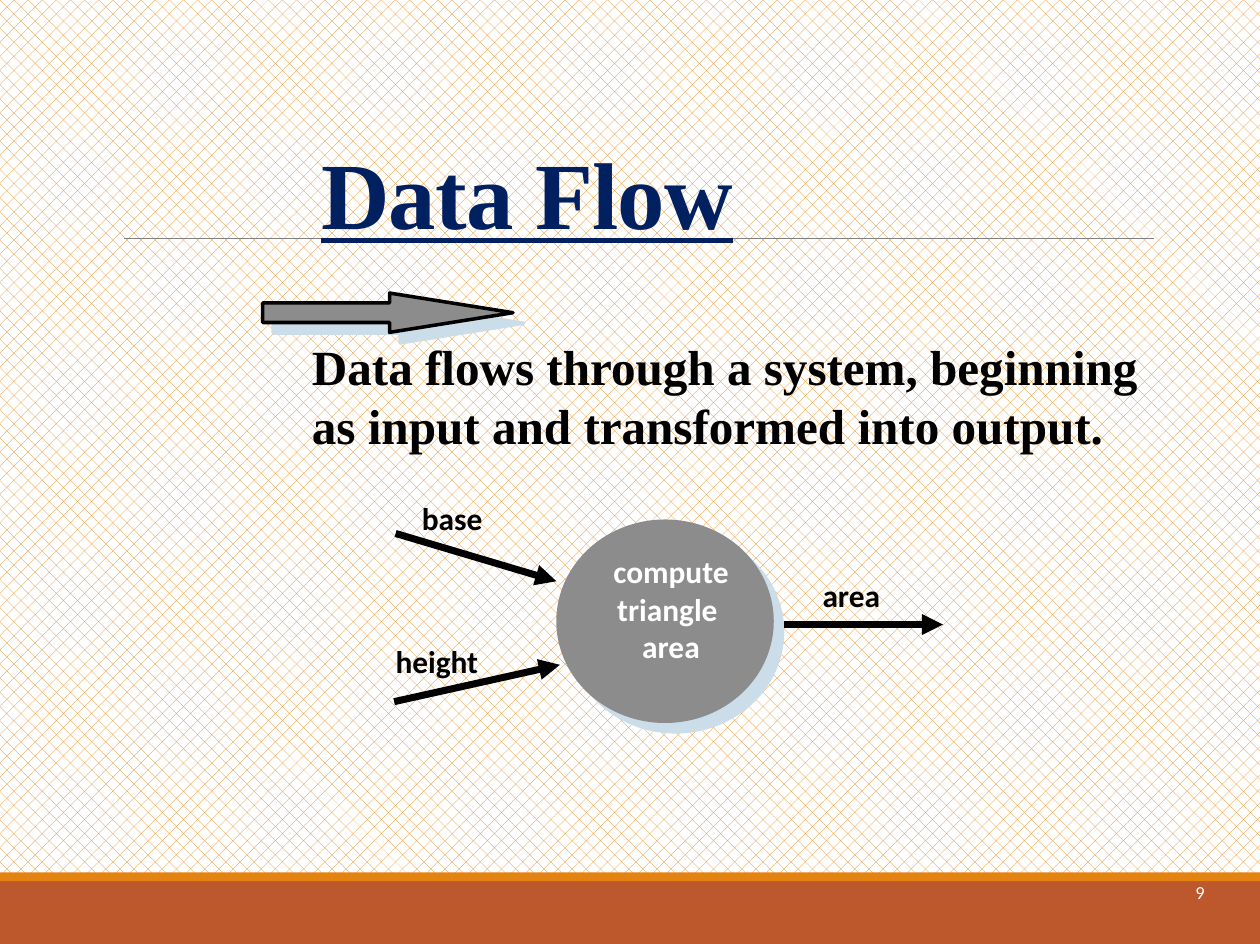
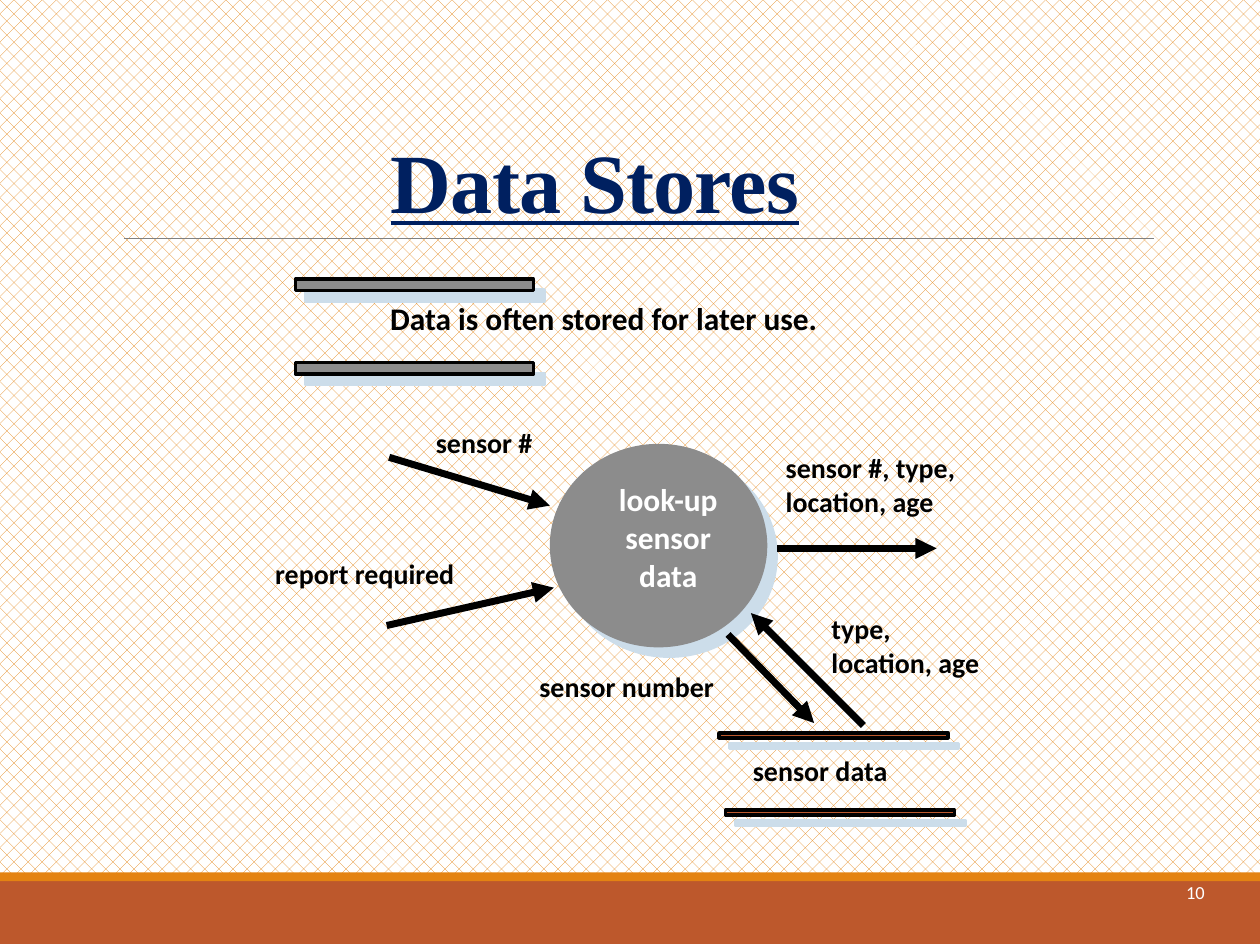
from lxml import etree
from pptx import Presentation
from pptx.dml.color import RGBColor
from pptx.enum.dml import MSO_PATTERN
from pptx.enum.shapes import MSO_CONNECTOR, MSO_SHAPE
from pptx.enum.text import MSO_ANCHOR, PP_ALIGN
from pptx.oxml import parse_xml
from pptx.oxml.ns import nsdecls, qn
from pptx.util import Cm, Pt

WIDTH, HEIGHT = 25.32, 18.97
BLACK = RGBColor(0x00, 0x00, 0x00)
WHITE = RGBColor(0xFF, 0xFF, 0xFF)
NAVY = RGBColor(0x00, 0x20, 0x60)
GRAY = RGBColor(0x8C, 0x8C, 0x8C)
RULE_GRAY = RGBColor(0x80, 0x80, 0x80)
ORANGE = RGBColor(0xE4, 0x83, 0x12)
RUST = RGBColor(0xBD, 0x58, 0x2C)
SHADOW = RGBColor(0xCC, 0xDD, 0xEA)

TITLE = dict(name="Times New Roman", bold=True, underline=True, color=NAVY)
STATEMENT = dict(name="Times New Roman", size=Pt(28), bold=True, color=BLACK)
LARGE = dict(name="Calibri", size=Pt(17.9), bold=True, color=BLACK)
SMALL = {**LARGE, "size": Pt(15.9)}
PROCESS = {**LARGE, "color": WHITE}
NUMBER = dict(name="Calibri", size=Pt(10.5), color=WHITE)

CIRCLE_SIZE = (4.37, 4.09)
STORE_KEY_SIZE = (4.78, 0.23)
STORE_SIZE = (4.6, 0.1)

# Boxes are left, top, width, height and arrows are x1, y1, x2, y2, in cm.
SLIDES = [
    dict(
        number="9",
        title=("Data Flow", (3.38, 2.97, 14.43, 2.13), 54),
        symbols=[(MSO_SHAPE.RIGHT_ARROW, (5.28, 5.89, 5.03, 0.79), GRAY)],
        circle=(11.18, 10.44),
        process=(["compute", "triangle ", "area"], (11.96, 10.97, 3.05, 3.07)),
        arrows=[
            (7.95, 10.72, 11.18, 11.68),
            (7.92, 14.1, 11.25, 13.36),
            (15.75, 12.55, 18.95, 12.55),
        ],
        labels=[
            (["Data flows through a system, beginning",
              "as input and transformed into output."],
             (6.02, 6.63, 19.02, 2.57), STATEMENT),
            (["base"], (8.23, 9.91, 1.88, 0.94), LARGE),
            (["height"], (7.7, 12.78, 2.26, 0.94), LARGE),
            (["area"], (16.28, 11.46, 1.75, 0.94), LARGE),
        ],
    ),
    dict(
        number="10",
        title=("Data Stores", (5.28, 2.79, 13.36, 1.98), 48),
        symbols=[
            (MSO_SHAPE.RECTANGLE, (5.94, 5.61, *STORE_KEY_SIZE), GRAY),
            (MSO_SHAPE.RECTANGLE, (5.94, 7.29, *STORE_KEY_SIZE), GRAY),
            (MSO_SHAPE.RECTANGLE, (14.45, 14.73, *STORE_SIZE), RUST),
            (MSO_SHAPE.RECTANGLE, (14.58, 16.28, *STORE_SIZE), RUST),
        ],
        circle=(11.05, 8.92),
        process=(["look-up", "sensor", "data"], (12.07, 9.53, 2.72, 3.07)),
        arrows=[
            (7.82, 9.19, 11.05, 10.16),
            (7.77, 12.57, 11.13, 11.81),
            (15.62, 11.02, 18.82, 11.02),
            (14.63, 12.75, 16.36, 14.53),
            (17.35, 14.58, 15.09, 12.32),
        ],
        labels=[
            (["Data is often stored for later use."],
             (7.59, 5.89, 9.75, 0.94), LARGE),
            (["sensor #"], (8.51, 8.43, 2.64, 0.89), SMALL),
            (["report required"], (5.28, 11.07, 4.32, 0.89), SMALL),
            (["sensor #, type,", "location, age"],
             (15.54, 8.94, 4.34, 1.52), SMALL),
            (["sensor data"], (14.88, 15.01, 3.4, 0.89), SMALL),
            (["sensor number"], (10.59, 13.34, 4.27, 0.89), SMALL),
            (["type,", "location, age"], (16.46, 12.17, 3.71, 1.52), SMALL),
        ],
    ),
]


def cm(lengths):
    return [Cm(n) for n in lengths]


def add_text(s, lines, box, style, align=PP_ALIGN.LEFT,
             anchor=MSO_ANCHOR.TOP, wrap=False):
    tf = s.shapes.add_textbox(*cm(box)).text_frame
    tf.word_wrap = wrap
    tf.vertical_anchor = anchor
    for i, line in enumerate(lines):
        p = tf.paragraphs[0] if i == 0 else tf.add_paragraph()
        p.alignment = align
        r = p.add_run()
        r.text = line
        for key, value in style.items():
            if key == "color":
                r.font.color.rgb = value
            else:
                setattr(r.font, key, value)
    return tf


def add_figure(s, kind, box, fill, outlined=False, shadowed=False):
    sp = s.shapes.add_shape(kind, *cm(box))
    sp.shadow.inherit = False
    sp.fill.solid()
    sp.fill.fore_color.rgb = fill
    if outlined:
        sp.line.color.rgb = BLACK
        sp.line.width = Pt(2)
    else:
        sp.line.fill.background()
    if shadowed:
        effects = sp._element.spPr.find(qn("a:effectLst"))
        effects.append(parse_xml(
            f'<a:outerShdw {nsdecls("a")} blurRad="0" dist="{Pt(8.5)}" '
            f'dir="2700000" algn="ctr" rotWithShape="0">'
            f'<a:srgbClr val="{SHADOW}"/></a:outerShdw>'))
    return sp


def add_line(s, ends, color, width, arrow=False):
    line = s.shapes.add_connector(MSO_CONNECTOR.STRAIGHT, *cm(ends))
    line.line.color.rgb = color
    line.line.width = Pt(width)
    if arrow:
        etree.SubElement(line.line._get_or_add_ln(), qn("a:tailEnd"),
                         type="triangle")
    etree.SubElement(line._element.spPr, qn("a:effectLst"))


def add_frame(s, number, title):
    """Draw what every slide shares: background, bands, rule, title, number."""
    fill = s.background.fill
    fill.patterned()
    fill.pattern = MSO_PATTERN.PERCENT_25
    fill.fore_color.rgb = ORANGE
    fill.back_color.rgb = WHITE
    add_figure(s, MSO_SHAPE.RECTANGLE, (0, 17.7, WIDTH, 1.27), RUST)
    add_figure(s, MSO_SHAPE.RECTANGLE, (0, 17.53, WIDTH, 0.18), ORANGE)
    add_line(s, (2.49, 4.8, 23.19, 4.8), RULE_GRAY, 0.5)

    text, box, size = title
    tf = add_text(s, [text], box, {**TITLE, "size": Pt(size)},
                  PP_ALIGN.CENTER, MSO_ANCHOR.MIDDLE, wrap=True)
    p = tf.paragraphs[0]
    p.line_spacing = 0.85
    p.runs[0].font._element.set("spc", "-50")
    add_text(s, [number], (20.88, 17.3, 3.58, 1.27), NUMBER,
             PP_ALIGN.RIGHT, MSO_ANCHOR.MIDDLE, wrap=True)


def add_diagram(s, content):
    for kind, box, fill in content["symbols"]:
        sp = add_figure(s, kind, box, fill, outlined=True, shadowed=True)
        if kind == MSO_SHAPE.RIGHT_ARROW:
            sp.adjustments[1] = 3.14
    add_figure(s, MSO_SHAPE.OVAL, (*content["circle"], *CIRCLE_SIZE), GRAY,
               shadowed=True)
    add_text(s, *content["process"], PROCESS, PP_ALIGN.CENTER)
    for ends in content["arrows"]:
        add_line(s, ends, BLACK, 4, arrow=True)
    for label in content["labels"]:
        add_text(s, *label)


def main():
    prs = Presentation()
    prs.slide_width, prs.slide_height = cm((WIDTH, HEIGHT))
    for content in SLIDES:
        s = prs.slides.add_slide(prs.slide_layouts[6])
        add_frame(s, content["number"], content["title"])
        add_diagram(s, content)
    prs.save("out.pptx")


if __name__ == "__main__":
    main()
